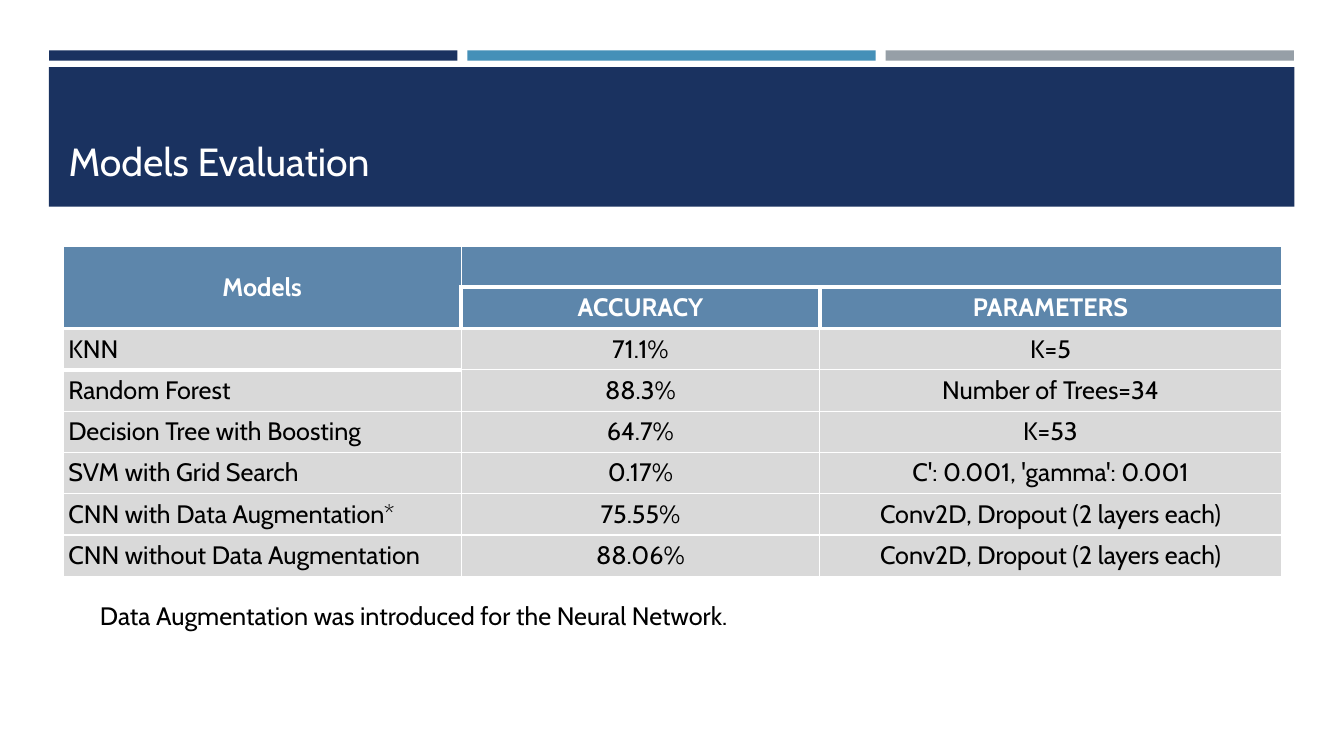
import pptx
import pptx.dml.color
import pptx.enum.shapes
import pptx.enum.text
import pptx.oxml
import pptx.oxml.ns
import pptx.util
from pptx.util import Cm

RGBColor = pptx.dml.color.RGBColor
NAVY = RGBColor(0x1A, 0x32, 0x60)
SKY = RGBColor(0x45, 0x90, 0xB8)
SLATE = RGBColor(0x96, 0x9F, 0xA7)
STEEL = RGBColor(0x5D, 0x86, 0xAB)
PALE = RGBColor(0xD9, 0xD9, 0xD9)
WHITE = RGBColor(0xFF, 0xFF, 0xFF)
BLACK = RGBColor(0x00, 0x00, 0x00)

ALIGN = pptx.enum.text.PP_ALIGN
ANCHOR = pptx.enum.text.MSO_ANCHOR
INSET = Cm(0.13)

ROWS = [
    ("Models", "", ""),
    ("", "ACCURACY", "PARAMETERS"),
    ("KNN", "71.1%", "K=5"),
    ("Random Forest", "88.3%", "Number of Trees=34"),
    ("Decision Tree with Boosting", "64.7%", "K=53"),
    ("SVM with Grid Search", "0.17%", "C': 0.001, 'gamma': 0.001"),
    ("CNN with Data Augmentation*", "75.55%", "Conv2D, Dropout (2 layers each)"),
    ("CNN without Data Augmentation", "88.06%", "Conv2D, Dropout (2 layers each)"),
]
HEADER_ROWS = 2
# Sides drawn with a 3 pt line, by (row, column); all others are 1 pt
HEAVY_SIDES = {
    (0, 0): "B", (0, 1): "B", (0, 2): "B",
    (1, 0): "RB", (1, 1): "LTRB", (1, 2): "LTB",
    (2, 0): "TB", (2, 1): "T", (2, 2): "T",
    (3, 0): "T",
}


def write_text(frame, text, size, color, align, bold=False):
    frame.margin_left = frame.margin_right = INSET
    frame.margin_top = frame.margin_bottom = INSET
    frame.word_wrap = True
    para = frame.paragraphs[0]
    para.alignment = align
    para.space_before = pptx.util.Pt(0)
    para.font.size = pptx.util.Pt(size)
    if text:
        span = para.add_run()
        span.text = text
        span.font.name = "Cabin"
        span.font.size = pptx.util.Pt(size)
        span.font.bold = bold
        span.font.color.rgb = color


def add_borders(cell, heavy_sides):
    properties = cell._tc.get_or_add_tcPr()
    for side in "LRTB":
        points = 3 if side in heavy_sides else 1
        properties.append(pptx.oxml.parse_xml(
            f'<a:ln{side} {pptx.oxml.ns.nsdecls("a")} w="{pptx.util.Pt(points)}">'
            f'<a:solidFill><a:srgbClr val="{WHITE}"/></a:solidFill></a:ln{side}>'))


deck = pptx.Presentation()
deck.slide_width = Cm(33.87)
deck.slide_height = Cm(19.05)
slide = deck.slides.add_slide(deck.slide_layouts[1])
title = slide.shapes.title
note = slide.placeholders[1]

# Three stripes above the title band, all behind the title
bands = [(1.24 + 10.54 * i, 1.27, 10.29, 0.26, color)
         for i, color in enumerate((NAVY, SKY, SLATE))]
bands.append((1.23, 1.69, 31.39, 3.52, NAVY))
for left, top, width, height, color in bands:
    band = slide.shapes.add_shape(pptx.enum.shapes.MSO_SHAPE.RECTANGLE,
                                  Cm(left), Cm(top), Cm(width), Cm(height))
    band.shadow.inherit = False
    band.fill.solid()
    band.fill.fore_color.rgb = color
    band.line.fill.background()
    title.element.addprevious(band.element)

title.left, title.top, title.width, title.height = Cm(1.6), Cm(2.03), Cm(30.63), Cm(2.74)
title.text_frame.vertical_anchor = ANCHOR.BOTTOM
title.text_frame.auto_size = pptx.enum.text.MSO_AUTO_SIZE.NONE
write_text(title.text_frame, "Models Evaluation", 28, WHITE, ALIGN.LEFT)

# Results table with a two-row header
frame = slide.shapes.add_table(len(ROWS), 3, Cm(1.59), Cm(6.2), Cm(30.7), Cm(8.32))
table = frame.table
for column, width in zip(table.columns, (10.03, 9.04, 11.63)):
    column.width = Cm(width)
for r, row in enumerate(ROWS):
    table.rows[r].height = Cm(1.04)
    is_header = r < HEADER_ROWS
    for c, text in enumerate(row):
        cell = table.cell(r, c)
        write_text(cell.text_frame, text, 18, WHITE if is_header else BLACK,
                   ALIGN.CENTER if is_header or c else ALIGN.LEFT, is_header)
        cell.margin_left = cell.margin_right = INSET
        cell.margin_top = cell.margin_bottom = INSET
        add_borders(cell, HEAVY_SIDES.get((r, c), ""))
        cell.fill.solid()
        cell.fill.fore_color.rgb = STEEL if is_header else PALE
table.cell(0, 0).merge(table.cell(1, 0))
table.cell(0, 1).merge(table.cell(0, 2))
table.cell(0, 0).vertical_anchor = ANCHOR.MIDDLE

# Note below the table
note.left, note.top, note.width, note.height = Cm(2.39), Cm(14.99), Cm(24.46), Cm(3.35)
note.text_frame.vertical_anchor = ANCHOR.TOP
note.text_frame.auto_size = pptx.enum.text.MSO_AUTO_SIZE.NONE
write_text(note.text_frame, "Data Augmentation was introduced for the Neural Network.",
           18, BLACK, ALIGN.LEFT)
properties = note.text_frame.paragraphs[0]._p.get_or_add_pPr()
properties.set("marL", "0")
properties.set("indent", "0")
spacing = properties.find(pptx.oxml.ns.qn("a:spcBef"))
spacing.addnext(pptx.oxml.parse_xml(f'<a:buNone {pptx.oxml.ns.nsdecls("a")}/>'))

deck.save("out.pptx")
